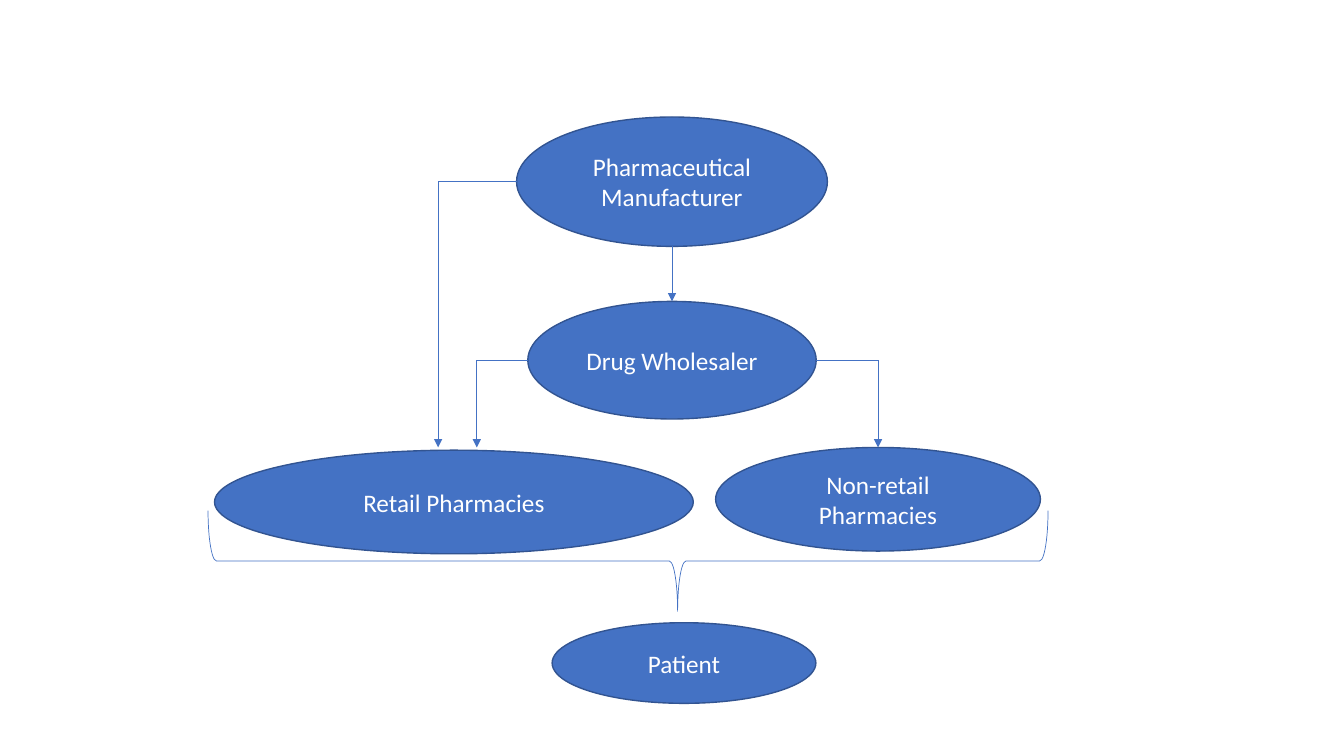
from itertools import pairwise

from lxml.etree import SubElement
from pptx import Presentation
from pptx.dml.color import RGBColor
from pptx.enum.shapes import MSO_CONNECTOR, MSO_SHAPE
from pptx.enum.text import MSO_ANCHOR, PP_ALIGN
from pptx.oxml.ns import qn
from pptx.util import Pt

COLORS = {"blue": "4472C4", "outline": "325491", "text": "FFFFFF"}


def color(name):
    return RGBColor.from_string(COLORS[name])


def write_text(shape, text, font="Calibri", size=18, fill="text", align=PP_ALIGN.CENTER):
    frame = shape.text_frame
    frame.word_wrap = True
    frame.vertical_anchor = MSO_ANCHOR.MIDDLE
    paragraph = frame.paragraphs[0]
    paragraph.alignment = align
    run = paragraph.add_run()
    run.text = text
    run.font.name = font
    run.font.size = Pt(size)
    run.font.color.rgb = color(fill)


class FlowSlide:
    thin = 0.5
    outline = 1

    def __init__(self, presentation):
        self.slide = presentation.slides.add_slide(presentation.slide_layouts[6])

    def shape(self, kind, box, line, width):
        shape = self.slide.shapes.add_shape(kind, *map(Pt, box))
        shape.shadow.inherit = False
        shape.line.color.rgb = color(line)
        shape.line.width = Pt(width)
        return shape

    def ellipse(self, text, *box):
        shape = self.shape(MSO_SHAPE.OVAL, box, "outline", self.outline)
        shape.fill.solid()
        shape.fill.fore_color.rgb = color("blue")
        write_text(shape, text)

    def brace(self, box, curve, tip):
        shape = self.shape(MSO_SHAPE.RIGHT_BRACE, box, "blue", self.thin)
        shape.fill.background()
        shape.rotation = 90
        shape.adjustments[0] = curve
        shape.adjustments[1] = tip

    def arrow(self, *points):
        for start, end in pairwise(points):
            connector = self.slide.shapes.add_connector(
                MSO_CONNECTOR.STRAIGHT, *map(Pt, start + end))
            connector.line.color.rgb = color("blue")
            connector.line.width = Pt(self.thin)
            SubElement(connector._element.spPr, qn("a:effectLst"))
        SubElement(connector.line._get_or_add_ln(), qn("a:tailEnd"), type="triangle")


presentation = Presentation()
presentation.slide_width = Pt(960)
presentation.slide_height = Pt(540)
flow = FlowSlide(presentation)

flow.ellipse("Pharmaceutical Manufacturer", 369, 83.6, 222, 92.4)
flow.ellipse("Drug Wholesaler", 377, 215.3, 206, 84)
flow.ellipse("Retail Pharmacies", 153.2, 321.6, 342, 74)
flow.ellipse("Non-retail Pharmacies", 511.2, 319.6, 232, 74)

pharmacy_top = 319.6
manufacturer_middle = 129.8
wholesaler_middle = 257.3
flow.arrow((480, 176), (480, 215.3))
flow.arrow((369, manufacturer_middle), (313, manufacturer_middle), (313, pharmacy_top))
flow.arrow((377, wholesaler_middle), (340.6, wholesaler_middle), (340.6, pharmacy_top))
flow.arrow((583, wholesaler_middle), (627.2, wholesaler_middle), (627.2, pharmacy_top))

flow.brace((412.6, 100.7, 72, 600), curve=0.083, tip=0.441)
flow.ellipse("Patient", 394.4, 444.8, 188.4, 57.6)

presentation.save("out.pptx")
